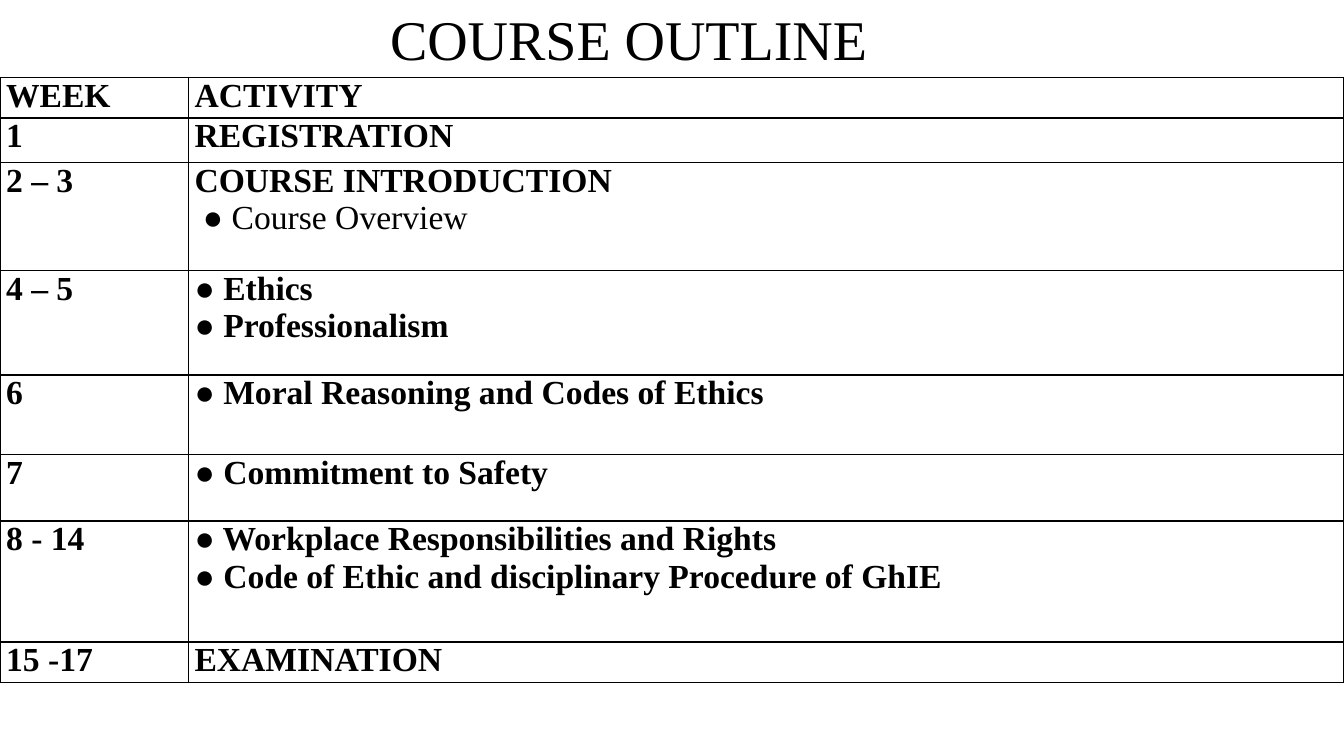
"""Build the course outline slide."""
from dataclasses import dataclass

from lxml import etree
from pptx import Presentation
from pptx.dml.color import RGBColor
from pptx.enum.text import MSO_AUTO_SIZE
from pptx.oxml.ns import qn
from pptx.util import Inches, Pt

FIT = MSO_AUTO_SIZE.SHAPE_TO_FIT_TEXT
PLAIN = MSO_AUTO_SIZE.NONE


@dataclass(frozen=True)
class Theme:
    """Colours and type sizes."""
    ink: str = "000000"
    font: str = "Times New Roman"
    title: int = 40
    body: int = 24
    rule: int = 1


@dataclass(frozen=True)
class Span:
    """A stretch of text of one weight."""
    text: str
    bold: bool = True


@dataclass(frozen=True)
class Week:
    """A table row: its label, height and activity lines."""
    label: str
    height: float
    lines: tuple[tuple[Span, ...], ...]


THEME = Theme()
COLS = (1.87, 11.46)
TOP = 0.77
WEEKS = (
    Week("WEEK", 0.4, ((Span("ACTIVITY"),),)),
    Week("1", 0.44, ((Span("REGISTRATION"),),)),
    Week("2 – 3", 1.07, ((Span("COURSE INTRODUCTION"),),
                         (Span(" ● "), Span("Course Overview", False)))),
    Week("4 – 5", 1.04, ((Span("● Ethics"),), (Span("● Professionalism"),))),
    Week("6", 0.79, ((Span("● Moral Reasoning and Codes of Ethics"),),)),
    Week("7", 0.66, ((Span("● Commitment to Safety"),),)),
    Week("8 - 14", 1.2, (
        (Span("● Workplace Responsibilities and Rights"),),
        (Span("● Code of Ethic and disciplinary Procedure of GhIE"),))),
    Week("15 -17", 0.4, ((Span("EXAMINATION"),),)),
)
CELL = {"margin_left": Inches(0.06), "margin_right": Inches(0.06),
        "margin_top": 0, "margin_bottom": 0}


def assign(target: object, values: dict) -> None:
    """Set each named attribute on the target."""
    for name, value in values.items():
        setattr(target, name, value)


def write(frame, lines: tuple[tuple[Span, ...], ...], size: int) -> None:
    """Write lines of spans into a text frame."""
    for index, line in enumerate(lines):
        para = frame.paragraphs[0] if index == 0 else frame.add_paragraph()
        for span in line:
            run = para.add_run()
            run.text = span.text
            assign(run.font, {"name": THEME.font, "size": Pt(size),
                              "bold": span.bold})
            run.font.color.rgb = RGBColor.from_string(THEME.ink)


def border(cell) -> None:
    """Rule all four sides of a cell."""
    props = cell._tc.get_or_add_tcPr()
    for index, side in enumerate(("lnL", "lnR", "lnT", "lnB")):
        edge = etree.Element(qn(f"a:{side}"), w=str(Pt(THEME.rule)))
        fill = etree.SubElement(edge, qn("a:solidFill"))
        etree.SubElement(fill, qn("a:srgbClr"), val=THEME.ink)
        props.insert(index, edge)


def add_title(slide) -> None:
    """Add the slide title."""
    box = slide.shapes.add_textbox(Inches(3.77), 0, Inches(4.98), Inches(TOP))
    assign(box.text_frame, {"word_wrap": False, "auto_size": FIT})
    write(box.text_frame, ((Span("COURSE OUTLINE", False),),), THEME.title)


def add_weeks(slide) -> None:
    """Add the table of weeks and activities."""
    height = sum(week.height for week in WEEKS)
    table = slide.shapes.add_table(
        len(WEEKS), len(COLS), 0, Inches(TOP),
        Inches(sum(COLS)), Inches(height)).table
    assign(table, {"first_row": False, "horz_banding": False})
    for column, width in zip(table.columns, COLS):
        column.width = Inches(width)
    for row, week in zip(table.rows, WEEKS):
        row.height = Inches(week.height)
        for cell, lines in zip(row.cells, (((Span(week.label),),), week.lines)):
            assign(cell, CELL)
            cell.fill.background()
            border(cell)
            write(cell.text_frame, lines, THEME.body)


def main() -> None:
    """Build and save the deck."""
    deck = Presentation()
    assign(deck, {"slide_width": Inches(13.33), "slide_height": Inches(7.5)})
    slide = deck.slides.add_slide(deck.slide_layouts[6])
    add_title(slide)
    add_weeks(slide)
    deck.save("out.pptx")


if __name__ == "__main__":
    main()
